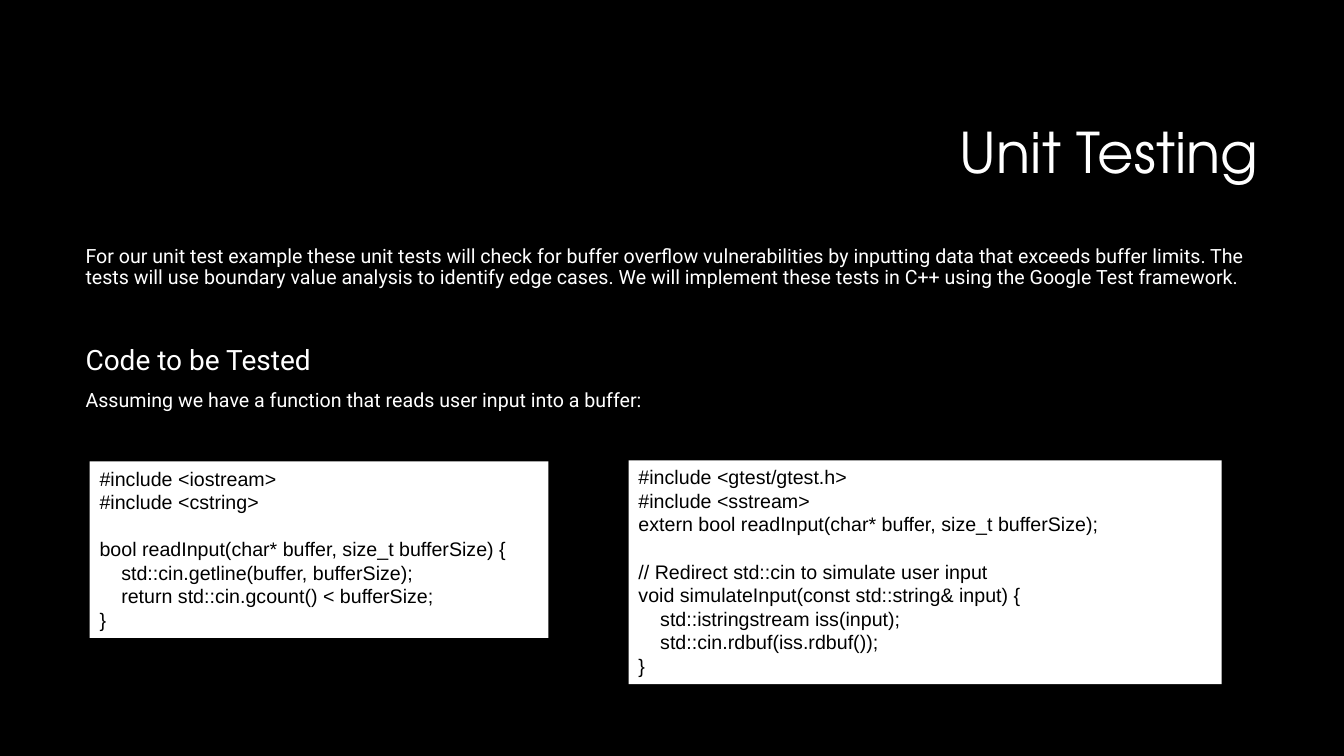
from pptx import Presentation
from pptx.dml.color import RGBColor
from pptx.enum.shapes import MSO_SHAPE as Shape
from pptx.enum.text import MSO_ANCHOR as Anchor, MSO_AUTO_SIZE as Fit, PP_ALIGN as Align
from pptx.util import Pt


def color(code):
    return RGBColor.from_string(code)


def style(para, font, size, code):
    for run in para.runs:
        run.font.name = font
        run.font.size = Pt(size)
        run.font.color.rgb = color(code)


BLACK, WHITE = "000000", "FFFFFF"

deck = Presentation()
deck.slide_width, deck.slide_height = Pt(960), Pt(540)
slide = deck.slides.add_slide(deck.slide_layouts[5])
slide.background.fill.solid()
slide.background.fill.fore_color.rgb = color(BLACK)

title = slide.shapes.title
title.left, title.top, title.width, title.height = Pt(228), Pt(60.5), Pt(678), Pt(101.5)
frame = title.text_frame
frame.text = "Unit Testing"
frame.auto_size = Fit.NONE
frame.vertical_anchor = Anchor.MIDDLE
head = frame.paragraphs[0]
head.alignment = Align.RIGHT
head.line_spacing = 0.9
style(head, "TeX Gyre Adventor", 40, WHITE)

body = slide.shapes.add_textbox(Pt(54), Pt(172.8), Pt(852), Pt(316.8)).text_frame
body.word_wrap = True
notes = [
    ("For our unit test example these unit tests will check for buffer overflow "
     "vulnerabilities by inputting data that exceeds buffer limits. The tests will use "
     "boundary value analysis to identify edge cases. We will implement these tests in "
     "C++ using the Google Test framework.", 14, 0),
    ("Code to be Tested", 20, 41),
    ("Assuming we have a function that reads user input into a buffer:", 14, 10),
]
body.text = "\n".join(text for text, size, gap in notes)
for para, (text, size, gap) in zip(body.paragraphs, notes):
    para.line_spacing = 0.9
    para.space_before = Pt(gap)
    style(para, "Roboto", size, WHITE)

reader = """#include <iostream>
#include <cstring>

bool readInput(char* buffer, size_t bufferSize) {
    std::cin.getline(buffer, bufferSize);
    return std::cin.gcount() < bufferSize;
}"""
tester = """#include <gtest/gtest.h>
#include <sstream>
extern bool readInput(char* buffer, size_t bufferSize);

// Redirect std::cin to simulate user input
void simulateInput(const std::string& input) {
    std::istringstream iss(input);
    std::cin.rdbuf(iss.rdbuf());
}"""
panels = [
    (reader, 64, 329.6, 327.7, 126),
    (tester, 449, 328.8, 423.6, 160),
]
for code, left, top, width, height in panels:
    box = slide.shapes.add_shape(Shape.RECTANGLE, Pt(left), Pt(top), Pt(width), Pt(height))
    box.shadow.inherit = False
    box.fill.solid()
    box.fill.fore_color.rgb = color(WHITE)
    box.line.fill.background()
    frame = box.text_frame
    frame.word_wrap = True
    frame.vertical_anchor = Anchor.TOP
    intro, main = code.split("\n\n")
    frame.text = intro + "\n" + main
    for para in frame.paragraphs:
        para.alignment = Align.LEFT
        style(para, "Arial", 14, BLACK)
    start = len(intro.splitlines())
    frame.paragraphs[start].space_before = Pt(16.9)

deck.save("out.pptx")
